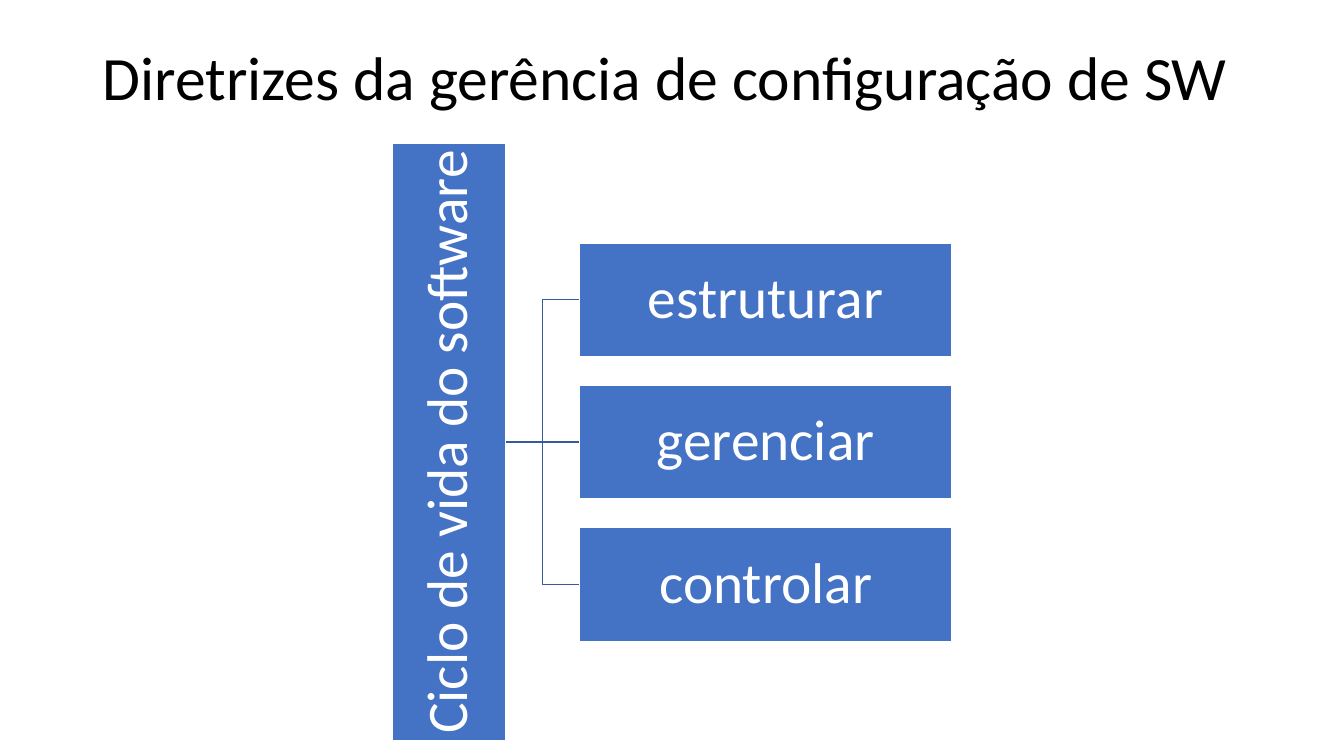
from lxml.etree import SubElement
from pptx import Presentation
from pptx.dml.color import RGBColor
from pptx.enum.shapes import MSO_CONNECTOR as Connector, MSO_SHAPE as Preset
from pptx.enum.text import MSO_ANCHOR as Anchor, MSO_AUTO_SIZE as AutoSize, PP_ALIGN as Align
from pptx.oxml.ns import qn
from pptx.util import Cm, Pt

COLORS = {"title": "000000", "box": "4472C4", "text": "FFFFFF", "link": "365B9D"}
FONT = "Calibri"


class SlideBuilder:
    """Holds the style and the current slide; lengths are in centimetres."""

    def __init__(self, slide):
        self.slide = slide

    def color(self, name):
        return RGBColor.from_string(COLORS[name])

    def set_text(self, shape, text, size, color, align):
        frame = shape.text_frame
        frame.text = text
        frame.word_wrap = True
        frame.auto_size = AutoSize.NONE
        frame.vertical_anchor = Anchor.MIDDLE
        paragraph = frame.paragraphs[0]
        paragraph.alignment = align
        paragraph.line_spacing = 0.9
        font = paragraph.runs[0].font
        font.name, font.size = FONT, Pt(size)
        font.color.rgb = self.color(color)

    def outline(self, shape, color):
        shape.line.color.rgb = self.color(color)
        shape.line.width = Pt(1)

    def title(self, text, left, top, width, height):
        shape = self.slide.shapes.title
        shape.left, shape.top = Cm(left), Cm(top)
        shape.width, shape.height = Cm(width), Cm(height)
        self.set_text(shape, text, 44, "title", Align.LEFT)

    def box(self, text, center_x, center_y, width, height, rotation=0):
        shape = self.slide.shapes.add_shape(
            Preset.RECTANGLE, Cm(center_x - width / 2), Cm(center_y - height / 2),
            Cm(width), Cm(height))
        shape.rotation = rotation
        shape.shadow.inherit = False
        shape.fill.solid()
        shape.fill.fore_color.rgb = self.color("box")
        self.outline(shape, "text")
        frame = shape.text_frame
        frame.margin_left = frame.margin_right = Cm(0.07)
        frame.margin_top = frame.margin_bottom = Cm(0.07)
        self.set_text(shape, text, 41, "text", Align.CENTER)

    def straight(self, x1, x2, y):
        line = self.slide.shapes.add_connector(
            Connector.STRAIGHT, Cm(x1), Cm(y), Cm(x2), Cm(y))
        self.outline(line, "link")
        SubElement(line._element.spPr, qn("a:effectLst"))

    def elbow(self, x1, y1, x2, y2):
        middle = Cm((x1 + x2) / 2)
        builder = self.slide.shapes.build_freeform(Cm(x1), Cm(y1))
        builder.add_line_segments(
            [(middle, Cm(y1)), (middle, Cm(y2)), (Cm(x2), Cm(y2))], close=False)
        shape = builder.convert_to_shape()
        shape.shadow.inherit = False
        shape.fill.background()
        self.outline(shape, "link")


presentation = Presentation()
presentation.slide_width, presentation.slide_height = Cm(33.87), Cm(19.05)
slide = presentation.slides.add_slide(presentation.slide_layouts[5])  # title only
builder = SlideBuilder(slide)

# Title
builder.title("Diretrizes da gerência de configuração de SW", 2.33, 1.02, 29.21, 2.03)

# Hierarchy measures
BRANCHES = ["estruturar", "gerenciar", "controlar"]
THICKNESS, ROOT_LENGTH, BRANCH_WIDTH = 2.86, 15.06, 9.38
ROOT_X, CENTER_Y, PITCH = 11.31, 11.14, 3.59
ROOT_RIGHT, BRANCH_LEFT = ROOT_X + THICKNESS / 2, 14.61
branch_rows = [CENTER_Y + (index - 1) * PITCH for index in range(len(BRANCHES))]

# Links from the root to each branch
for row in branch_rows:
    if row == CENTER_Y:
        builder.straight(ROOT_RIGHT, BRANCH_LEFT, row)
    else:
        builder.elbow(ROOT_RIGHT, CENTER_Y, BRANCH_LEFT, row)

# Root and branch boxes
builder.box("Ciclo de vida do software", ROOT_X, CENTER_Y, ROOT_LENGTH, THICKNESS, rotation=270)
for branch, row in zip(BRANCHES, branch_rows):
    builder.box(branch, BRANCH_LEFT + BRANCH_WIDTH / 2, row, BRANCH_WIDTH, THICKNESS)

presentation.save("out.pptx")
